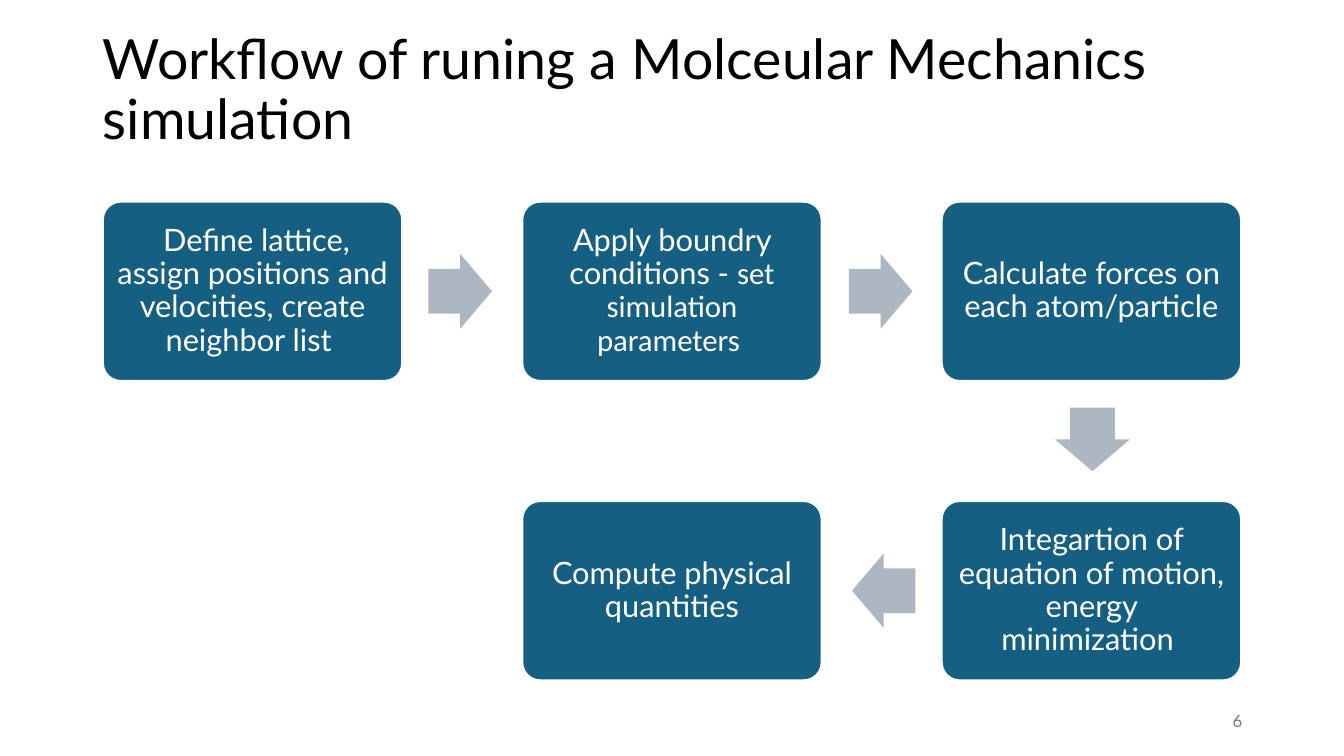
import pptx
import pptx.util
from pptx.dml.color import RGBColor
from pptx.enum.shapes import MSO_SHAPE
from pptx.enum.text import MSO_ANCHOR, MSO_AUTO_SIZE, PP_ALIGN
from pptx.util import Inches

COLORS = {"ink": "000000", "box": "156082", "white": "FFFFFF",
          "arrow": "ACB7C1", "page": "797979"}

# Grid of the flow, in inches
LEFT, TOP = 1.02, 2.0
STEP_X, STEP_Y = 4.16, 2.97
BOX_W, BOX_H = 2.97, 1.78
ARROW_W, ARROW_H = 0.63, 0.74

# Column, row and text runs (text, font) of each step
STEPS = [
    (0, 0, [(" Define lattice, assign positions and velocities, "
             "create neighbor list ", "Lato")]),
    (1, 0, [("Apply boundry conditions - ", "Lato"),
            ("set simulation parameters ", "Calibri")]),
    (2, 0, [("Calculate forces on each atom/particle", "Lato")]),
    (2, 1, [("Integartion of equation of motion, energy minimization ",
             "Lato")]),
    (1, 1, [("Compute physical quantities", "Lato")]),
]

# Left, top and turn of each arrow
ARROWS = [(4.25, 2.52, 0), (8.42, 2.52, 0), (10.52, 3.99, 90),
          (8.45, 5.49, 180)]


def color(name):
    return RGBColor.from_string(COLORS[name])


def place(shape, x, y, w, h):
    shape.left, shape.top = Inches(x), Inches(y)
    shape.width, shape.height = Inches(w), Inches(h)


def write(shape, runs, size, ink, align=PP_ALIGN.LEFT, space=None,
          after=0, inset=None):
    """Fill a shape with one paragraph of (text, font) runs."""
    frame = shape.text_frame
    frame.word_wrap = True
    frame.auto_size = MSO_AUTO_SIZE.NONE
    frame.vertical_anchor = MSO_ANCHOR.MIDDLE
    if inset is not None:
        frame.margin_left = frame.margin_right = Inches(inset)
        frame.margin_top = frame.margin_bottom = Inches(inset)
    para = frame.paragraphs[0]
    para.alignment = align
    para.line_spacing = space
    para.space_after = pptx.util.Pt(after)
    for text, face in runs:
        run = para.add_run()
        run.text = text
        run.font.name = face
        run.font.size = pptx.util.Pt(size)
        run.font.color.rgb = color(ink)


def add_form(slide, kind, x, y, w, h, fill):
    form = slide.shapes.add_shape(kind, Inches(x), Inches(y),
                                  Inches(w), Inches(h))
    form.shadow.inherit = False
    form.fill.solid()
    form.fill.fore_color.rgb = color(fill)
    return form


def add_step(slide, col, row, runs):
    box = add_form(slide, MSO_SHAPE.ROUNDED_RECTANGLE, LEFT + col * STEP_X,
                   TOP + row * STEP_Y, BOX_W, BOX_H, "box")
    box.adjustments[0] = 0.1
    box.line.color.rgb = color("white")
    box.line.width = pptx.util.Pt(1.5)
    # The inset also makes up for the rounded corners' own text margin
    write(box, runs, 22, "white", PP_ALIGN.CENTER, 0.9, 9.2, inset=0.09)


def add_arrow(slide, x, y, turn):
    arrow = add_form(slide, MSO_SHAPE.RIGHT_ARROW, x, y,
                     ARROW_W, ARROW_H, "arrow")
    arrow.adjustments[0] = 0.6
    arrow.adjustments[1] = 0.5
    arrow.line.fill.background()
    arrow.rotation = turn


def main():
    deck = pptx.Presentation()
    deck.slide_width, deck.slide_height = Inches(13.33), Inches(7.5)
    slide = deck.slides.add_slide(deck.slide_layouts[5])

    # Title
    title = slide.shapes.title
    place(title, 0.92, 0.4, 11.5, 1.01)
    write(title, [("Workflow of runing a Molceular Mechanics simulation",
                   "Lato")], 39.6, "ink", space=0.9)

    # Flow
    for step in STEPS:
        add_step(slide, *step)
    for arrow in ARROWS:
        add_arrow(slide, *arrow)

    # Page number
    page = slide.shapes.add_textbox(Inches(9.42), Inches(6.95),
                                    Inches(3), Inches(0.4))
    write(page, [("6", "Lato")], 12, "page", PP_ALIGN.RIGHT)

    deck.save("out.pptx")


if __name__ == "__main__":
    main()
